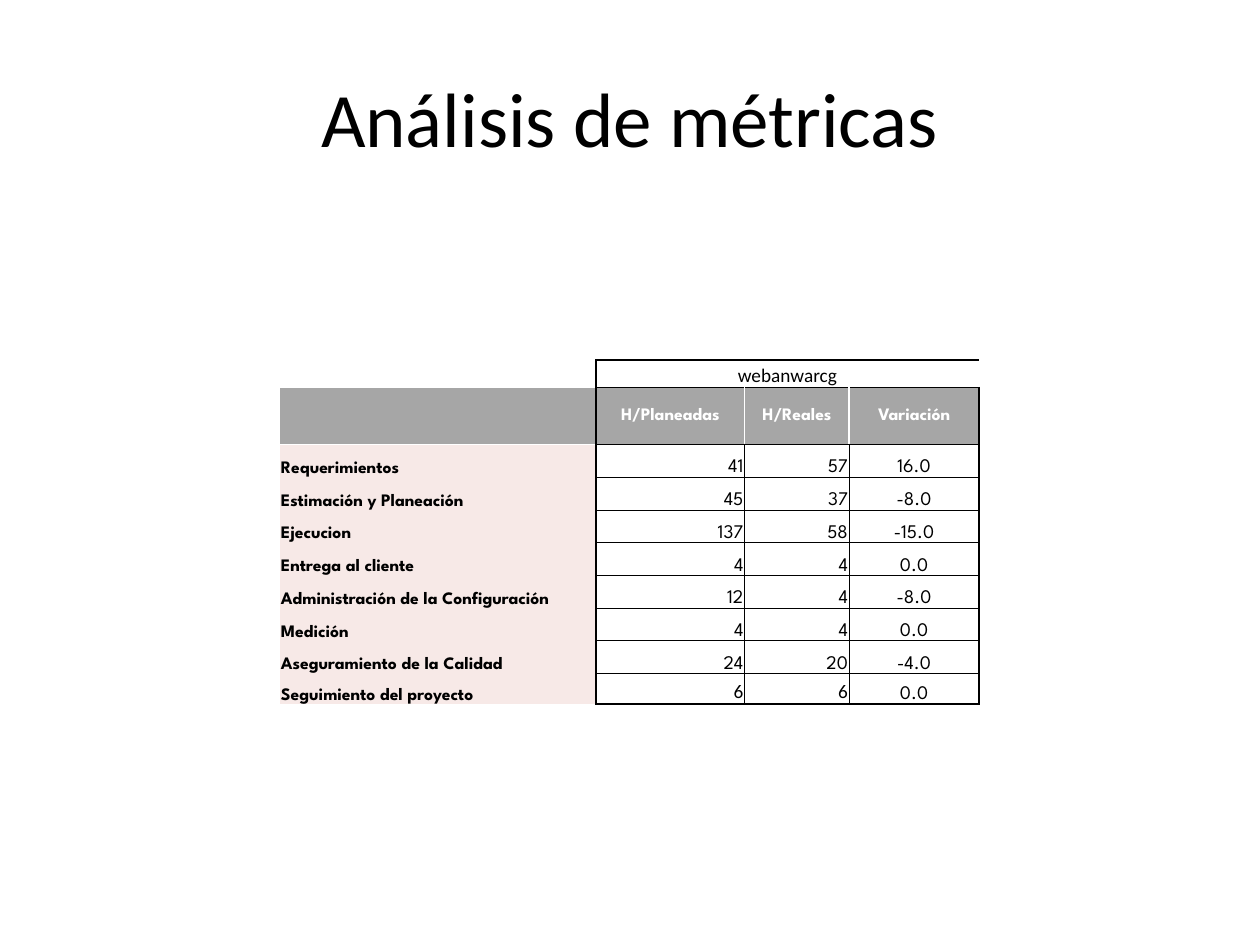
import dataclasses

import lxml.etree
import pptx
import pptx.dml.color
import pptx.enum.text
import pptx.oxml.ns
import pptx.util

ALIGN = pptx.enum.text.PP_ALIGN
ANCHOR = pptx.enum.text.MSO_ANCHOR


@dataclasses.dataclass(frozen=True)
class Theme:
    """Colours, fonts and type sizes of the slide."""
    black: str = "000000"
    white: str = "FFFFFF"
    header: str = "A6A6A6"
    label: str = "F7E9E7"
    body_font: str = "Calibri"
    table_font: str = "League Spartan"
    title_size: float = 44
    value_size: float = 11
    label_size: float = 10
    thick: float = 1
    thin: float = 0.5


THEME = Theme()
SLIDE_WIDTH, SLIDE_HEIGHT = 10, 7.5
TITLE_BOX = (0.05, 0.04, 0.9, 1 / 6)  # shares of the slide
TABLE_BOX = (0.222, 0.381, 0.556, 0.364)
COLUMN_WIDTHS = (2.51, 1.18, 0.83, 1.03)
ROW_HEIGHTS = (0.22, 0.45) + (0.26,) * 7 + (0.24,)
PROJECT_ROW, HEADER_ROW, FIRST_DATA_ROW = 0, 1, 2
ROWS = [
    ("", "webanwarcg", "", ""),
    ("", "H/Planeadas", "H/Reales", "Variación"),
    ("Requerimientos", "41", "57", "16.0"),
    ("Estimación y Planeación", "45", "37", "-8.0"),
    ("Ejecucion", "137", "58", "-15.0"),
    ("Entrega al cliente", "4", "4", "0.0"),
    ("Administración de la Configuración", "12", "4", "-8.0"),
    ("Medición", "4", "4", "0.0"),
    ("Aseguramiento de la Calidad", "24", "20", "-4.0"),
    ("Seguimiento del proyecto", "6", "6", "0.0"),
]


def to_lengths(box):
    """Turn shares of the slide into left, top, width and height."""
    sides = (SLIDE_WIDTH, SLIDE_HEIGHT) * 2
    return [pptx.util.Inches(share * side) for share, side in zip(box, sides)]


def format_runs(paragraph, font, size, color, bold=False):
    """Give all runs of a paragraph one look."""
    for run in paragraph.runs:
        run.font.name = font
        run.font.size = pptx.util.Pt(size)
        run.font.bold = bold
        run.font.color.rgb = pptx.dml.color.RGBColor.from_string(color)


def add_title(slide, box, text):
    """Place and format the title placeholder."""
    title = slide.shapes.title
    title.left, title.top, title.width, title.height = to_lengths(box)
    frame = title.text_frame
    frame.text = text
    frame.vertical_anchor = ANCHOR.MIDDLE
    frame.paragraphs[0].alignment = ALIGN.CENTER
    format_runs(frame.paragraphs[0], THEME.body_font, THEME.title_size, THEME.black)


def vertical_edge(row, edge):
    """Return colour and width of the line at a column edge, or None."""
    if edge == 0:
        return None
    if edge in (1, len(COLUMN_WIDTHS)):
        return THEME.black, THEME.thick
    if row == PROJECT_ROW:
        return None
    if row == HEADER_ROW:
        return THEME.white, THEME.thick
    return THEME.black, THEME.thin


def horizontal_edge(edge, column):
    """Return colour and width of the line at a row edge, or None."""
    if column == 0:
        return (THEME.white, THEME.thick) if edge in (1, 2) else None
    outer = edge <= FIRST_DATA_ROW or edge == len(ROWS)
    return THEME.black, THEME.thick if outer else THEME.thin


def set_borders(cell, row, column):
    """Write the four border lines of a cell."""
    edges = {
        "L": vertical_edge(row, column),
        "R": vertical_edge(row, column + 1),
        "T": horizontal_edge(row, column),
        "B": horizontal_edge(row + 1, column),
    }
    qn = pptx.oxml.ns.qn
    properties = cell._tc.get_or_add_tcPr()
    for position, (side, edge) in enumerate(edges.items()):
        line = lxml.etree.Element(qn(f"a:ln{side}"))
        properties.insert(position, line)
        if edge is None:
            lxml.etree.SubElement(line, qn("a:noFill"))
            continue
        color, width = edge
        line.set("w", str(pptx.util.Pt(width)))
        fill = lxml.etree.SubElement(line, qn("a:solidFill"))
        lxml.etree.SubElement(fill, qn("a:srgbClr")).set("val", color)


def fill_cell(cell, row, column):
    """Give a cell its background according to its row and column."""
    if row == HEADER_ROW:
        color = THEME.header
    elif row >= FIRST_DATA_ROW and column == 0:
        color = THEME.label
    else:
        cell.fill.background()
        return
    cell.fill.solid()
    cell.fill.fore_color.rgb = pptx.dml.color.RGBColor.from_string(color)


def write_cell(cell, row, column, text):
    """Write the text of a cell and format it by row and column."""
    cell.margin_left = cell.margin_right = cell.margin_top = pptx.util.Inches(0.01)
    cell.margin_bottom = 0
    is_header = row == HEADER_ROW
    cell.vertical_anchor = ANCHOR.MIDDLE if is_header else ANCHOR.BOTTOM
    paragraph = cell.text_frame.paragraphs[0]
    if not text:
        end = lxml.etree.SubElement(paragraph._p, pptx.oxml.ns.qn("a:endParaRPr"))
        end.set("sz", str(THEME.label_size * 100))
        return
    paragraph.text = text
    if row < FIRST_DATA_ROW or column == 3:
        paragraph.alignment = ALIGN.CENTER
    else:
        paragraph.alignment = ALIGN.LEFT if column == 0 else ALIGN.RIGHT
    bold = is_header or column == 0
    plain = row == PROJECT_ROW or (row == len(ROWS) - 1 and column in (1, 2))
    format_runs(
        paragraph,
        THEME.body_font if plain else THEME.table_font,
        THEME.label_size if bold else THEME.value_size,
        THEME.white if is_header else THEME.black,
        bold,
    )


def add_metrics_table(slide, box):
    """Build the table of planned and real hours."""
    frame = slide.shapes.add_table(len(ROWS), len(COLUMN_WIDTHS), *to_lengths(box))
    table = frame.table
    table.first_row = table.horz_banding = False
    for column, width in zip(table.columns, COLUMN_WIDTHS):
        column.width = pptx.util.Inches(width)
    for row, height in zip(table.rows, ROW_HEIGHTS):
        row.height = pptx.util.Inches(height)
    table.cell(PROJECT_ROW, 1).merge(table.cell(PROJECT_ROW, 3))
    for row, texts in enumerate(ROWS):
        for column, text in enumerate(texts):
            cell = table.cell(row, column)
            write_cell(cell, row, column, text)
            fill_cell(cell, row, column)
            set_borders(cell, row, column)


def main():
    """Build and save the presentation."""
    presentation = pptx.Presentation()
    presentation.slide_width = pptx.util.Inches(SLIDE_WIDTH)
    presentation.slide_height = pptx.util.Inches(SLIDE_HEIGHT)
    slide = presentation.slides.add_slide(presentation.slide_layouts[5])
    add_title(slide, TITLE_BOX, "Análisis de métricas")
    add_metrics_table(slide, TABLE_BOX)
    presentation.save("out.pptx")


main()
